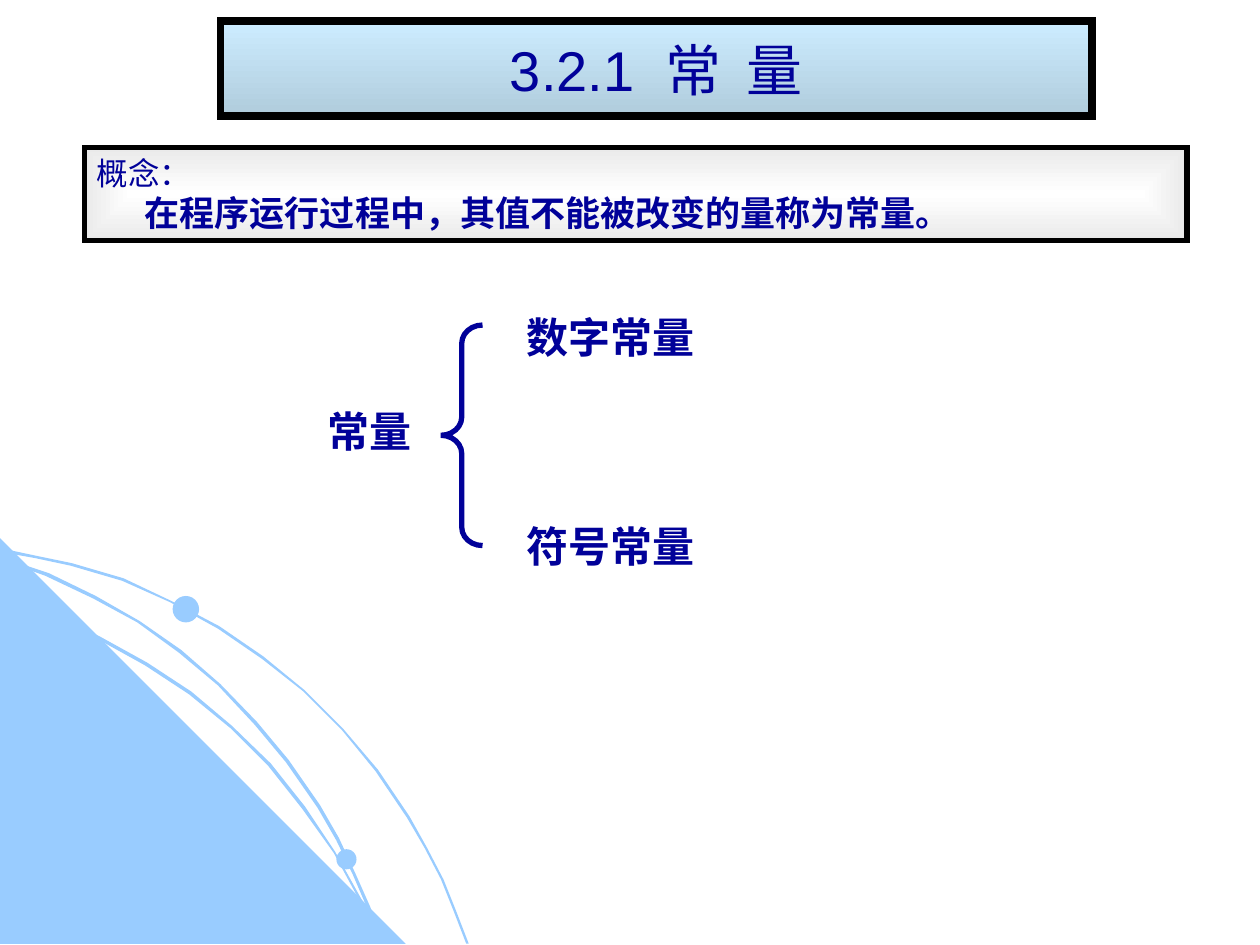
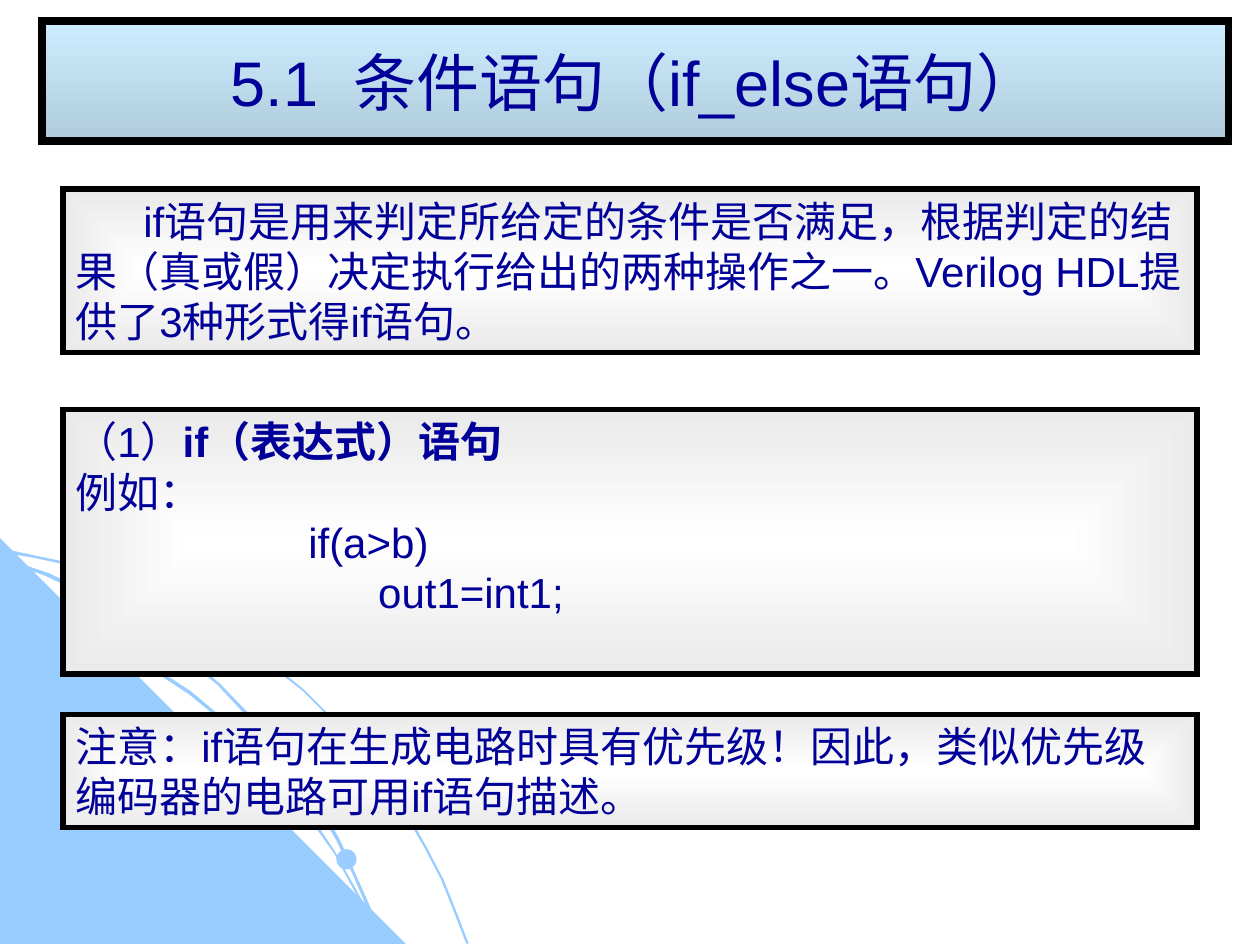
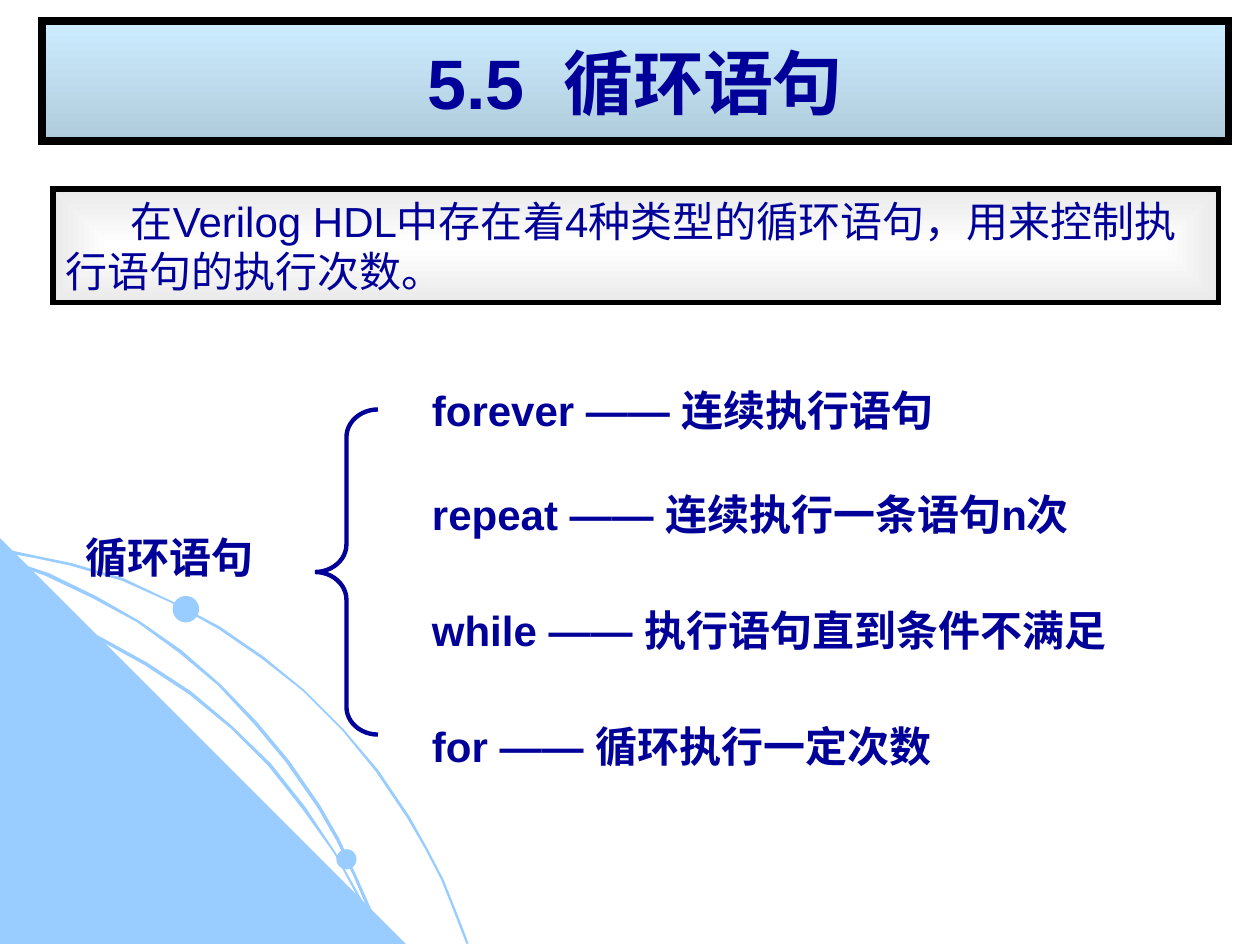
from dataclasses import dataclass

from lxml import etree
from pptx import Presentation
from pptx import util as u
from pptx.dml.color import RGBColor
from pptx.enum import lang, shapes, text
from pptx.oxml.ns import qn


@dataclass(frozen=True)
class Theme:
    font: str = "Arial"
    ink: str = "010199"
    art: str = "99CCFF"
    border: str = "000000"
    title_fill: tuple = ("CCECFF", "B0CCDC")
    panel_fill: tuple = ("FFFFFF", "EAEAEA")
    title_border: float = 4.5
    panel_border: float = 3
    body: int = 24
    definition: int = 20
    caption: int = 18


theme = Theme()
LEFT, CENTER = text.PP_ALIGN.LEFT, text.PP_ALIGN.CENTER
TOP, MIDDLE = text.MSO_ANCHOR.TOP, text.MSO_ANCHOR.MIDDLE
outlined = []


def write(sp, runs, size=theme.body, bold=False, align=LEFT, anchor=TOP, indent=0):
    """Add one paragraph; runs is a string or a list of (string, bold) pairs."""
    tf = sp.text_frame
    tf.word_wrap = True
    tf.auto_size = text.MSO_AUTO_SIZE.NONE
    tf.vertical_anchor = anchor
    p = tf.add_paragraph() if tf.text else tf.paragraphs[0]
    p.alignment = align
    if indent:
        p._p.get_or_add_pPr().set("indent", str(u.Inches(indent)))
    for words, heavy in [(runs, bold)] if isinstance(runs, str) else runs:
        r = p.add_run()
        r.text = words
        r.font.name = theme.font
        r.font.size = u.Pt(size)
        r.font.bold = heavy
        r.font.color.rgb = RGBColor.from_string(theme.ink)
        r.font.language_id = lang.MSO_LANGUAGE_ID.SIMPLIFIED_CHINESE


def frame(sp, colors, weight, from_center=False):
    """Give a shape a gradient fill and a heavy border."""
    sp.fill.gradient()
    sp.fill.gradient_angle = 270
    for stop, color in zip(sp.fill.gradient_stops, colors):
        stop.color.rgb = RGBColor.from_string(color)
    if from_center:
        lin = sp.element.spPr.find(".//" + qn("a:lin"))
        path = etree.Element(qn("a:path"), path="rect")
        etree.SubElement(path, qn("a:fillToRect"), l="50000", t="50000", r="50000", b="50000")
        lin.getparent().replace(lin, path)
    sp.line.color.rgb = RGBColor.from_string(theme.border)
    sp.line.width = u.Pt(weight)
    outlined.append(sp)


prs = Presentation()
prs.slide_width, prs.slide_height = u.Inches(10), u.Inches(7.5)

# Titles: text, left, width, height, size, bold
titles = [
    ("3.2.1  常  量", 1.75, 6.92, 0.75, 32, False),
    ("5.1  条件语句（if_else语句）", 0.33, 9.42, 0.95, 36, False),
    ("5.5  循环语句", 0.33, 9.42, 0.95, 40, True),
]
slides = []
for words, left, width, height, size, bold in titles:
    s = prs.slides.add_slide(prs.slide_layouts[5])
    sp = s.shapes.title
    sp.left, sp.top = u.Inches(left), u.Inches(0.17)
    sp.width, sp.height = u.Inches(width), u.Inches(height)
    frame(sp, theme.title_fill, theme.title_border)
    write(sp, words, size=size, bold=bold, align=CENTER, anchor=MIDDLE)
    slides.append(s)
constants, conditions, loops = slides

# Corner artwork, shared through the slide master
outer_arc = [
    (0.57, 4.47), (0.28, 4.41), (0, 4.35), (0, 4.38), (0.28, 4.43), (0.56, 4.49),
    (0.97, 4.61), (1.35, 4.78), (1.73, 4.99), (2.08, 5.23), (2.41, 5.49), (2.71, 5.79),
    (2.98, 6.12), (3.23, 6.49), (3.37, 6.73), (3.5, 6.98), (3.6, 7.23), (3.7, 7.49),
    (3.72, 7.49), (3.62, 7.23), (3.52, 6.98), (3.39, 6.73), (3.25, 6.48), (3, 6.11),
    (2.72, 5.78), (2.42, 5.48), (2.09, 5.21), (1.74, 4.97), (1.36, 4.77), (0.98, 4.59),
]
corner = [(3.22, 7.49), (0, 7.49), (0, 4.27)]
inner_arc = [
    (2.85, 7.14), (2.94, 7.32), (3.01, 7.49), (3.03, 7.49), (2.96, 7.3), (2.86, 7.12),
    (2.66, 6.76), (2.42, 6.4), (2.15, 6.06), (1.84, 5.76), (1.52, 5.49), (1.17, 5.26),
    (0.79, 5.05), (0.41, 4.88), (0, 4.75), (0, 4.77), (0.39, 4.9), (0.77, 5.07),
    (1.15, 5.28), (1.5, 5.51), (1.83, 5.78), (2.13, 6.08), (2.4, 6.42), (2.65, 6.77),
]
middle_arc = [
    (0, 4.42), (0, 4.44), (0.36, 4.57), (0.74, 4.75), (1.09, 4.94), (1.42, 5.18),
    (1.73, 5.44), (2.02, 5.75), (2.27, 6.05), (2.52, 6.41), (2.67, 6.67), (2.8, 6.94),
    (2.92, 7.22), (3.01, 7.49), (3.03, 7.49), (2.94, 7.2), (2.82, 6.93), (2.69, 6.65),
    (2.54, 6.39), (2.29, 6.03), (2.04, 5.73), (1.75, 5.43), (1.44, 5.16), (1.11, 4.93),
    (0.76, 4.73), (0.39, 4.55),
]
art = []
for outline in (outer_arc, corner, inner_arc, middle_arc):
    points = [(u.Inches(x), u.Inches(y)) for x, y in outline]
    builder = constants.shapes.build_freeform(*points[0])
    builder.add_line_segments(points[1:], close=True)
    art.append(builder.convert_to_shape())
for left, top, size in [(0.36, 4.83, 0.15), (2.67, 6.74, 0.16), (1.37, 4.73, 0.21)]:
    art.append(constants.shapes.add_shape(
        shapes.MSO_SHAPE.OVAL, u.Inches(left), u.Inches(top), u.Inches(size), u.Inches(size)))
master_tree = prs.slide_master.shapes.element
for i, sp in enumerate(art):
    sp.shadow.inherit = False
    sp.fill.solid()
    sp.fill.fore_color.rgb = RGBColor.from_string(theme.art)
    sp.line.fill.background()
    sp.element.xpath(".//p:cNvPr")[0].set("id", str(100 + i))
    master_tree.insert(2 + i, sp.element)

# Panels: slide, left, top, width, height, paragraphs with their format
panels = [
    (constants, 0.67, 1.17, 8.75, 0.74, [
        ("概念：", dict(size=theme.caption)),
        ("在程序运行过程中，其值不能被改变的量称为常量。",
         dict(size=theme.definition, bold=True, indent=0.38)),
    ]),
    (conditions, 0.5, 1.5, 9, 1.3, [
        ("if语句是用来判定所给定的条件是否满足，根据判定的结果（真或假）决定执行给出的"
         "两种操作之一。Verilog HDL提供了3种形式得if语句。", dict(indent=0.54)),
    ]),
    (conditions, 0.5, 3.25, 9, 2.1, [
        ([("（1）", False), ("if（表达式）语句", True)], {}),
        ("例如：", {}),
        ("                    if(a>b)", {}),
        ("                          out1=int1;", {}),
    ]),
    (conditions, 0.5, 5.67, 9, 0.9, [
        ("注意：if语句在生成电路时具有优先级！因此，类似优先级编码器的电路可用if语句描述。", {}),
    ]),
    (loops, 0.42, 1.5, 9.25, 0.9, [
        ("在Verilog HDL中存在着4种类型的循环语句，用来控制执行语句的执行次数。",
         dict(indent=0.52)),
    ]),
]
for s, left, top, width, height, paragraphs in panels:
    sp = s.shapes.add_shape(shapes.MSO_SHAPE.RECTANGLE, u.Inches(left), u.Inches(top),
                            u.Inches(width), u.Inches(height))
    sp.shadow.inherit = False
    frame(sp, theme.panel_fill, theme.panel_border, from_center=True)
    for words, style in paragraphs:
        write(sp, words, **style)

# Braces: slide, left, top, width, height, line weight
for s, left, top, width, height, weight in [
    (constants, 3.5, 2.58, 0.33, 1.75, 3),
    (loops, 2.5, 3.25, 0.5, 2.58, 2.5),
]:
    sp = s.shapes.add_shape(shapes.MSO_SHAPE.LEFT_BRACE, u.Inches(left), u.Inches(top),
                            u.Inches(width), u.Inches(height))
    sp.shadow.inherit = False
    sp.adjustments[0] = 0.44
    sp.fill.background()
    sp.line.color.rgb = RGBColor.from_string(theme.ink)
    sp.line.width = u.Pt(weight)
    outlined.append(sp)

# Square corners on every border and brace
for sp in outlined:
    etree.SubElement(sp.element.spPr.find(qn("a:ln")), qn("a:miter"), lim="800000")

# Labels around the braces: slide, left, top, width, height, text
for s, left, top, width, height, words in [
    (constants, 4.08, 2.42, 1.58, 0.5, "数字常量"),
    (constants, 4.08, 4.08, 1.83, 0.5, "符号常量"),
    (constants, 2.5, 3.17, 1.08, 0.5, "常量"),
    (loops, 0.58, 4.17, 1.75, 0.5, "循环语句"),
    (loops, 3.33, 3, 5.5, 0.5, "forever —— 连续执行语句"),
    (loops, 3.33, 3.83, 5.42, 0.9, "repeat —— 连续执行一条语句n次"),
    (loops, 3.33, 4.75, 5.58, 0.9, "while —— 执行语句直到条件不满足"),
    (loops, 3.33, 5.67, 5.92, 0.5, "for —— 循环执行一定次数"),
]:
    sp = s.shapes.add_textbox(u.Inches(left), u.Inches(top), u.Inches(width), u.Inches(height))
    write(sp, words, bold=True)

prs.save("out.pptx")
